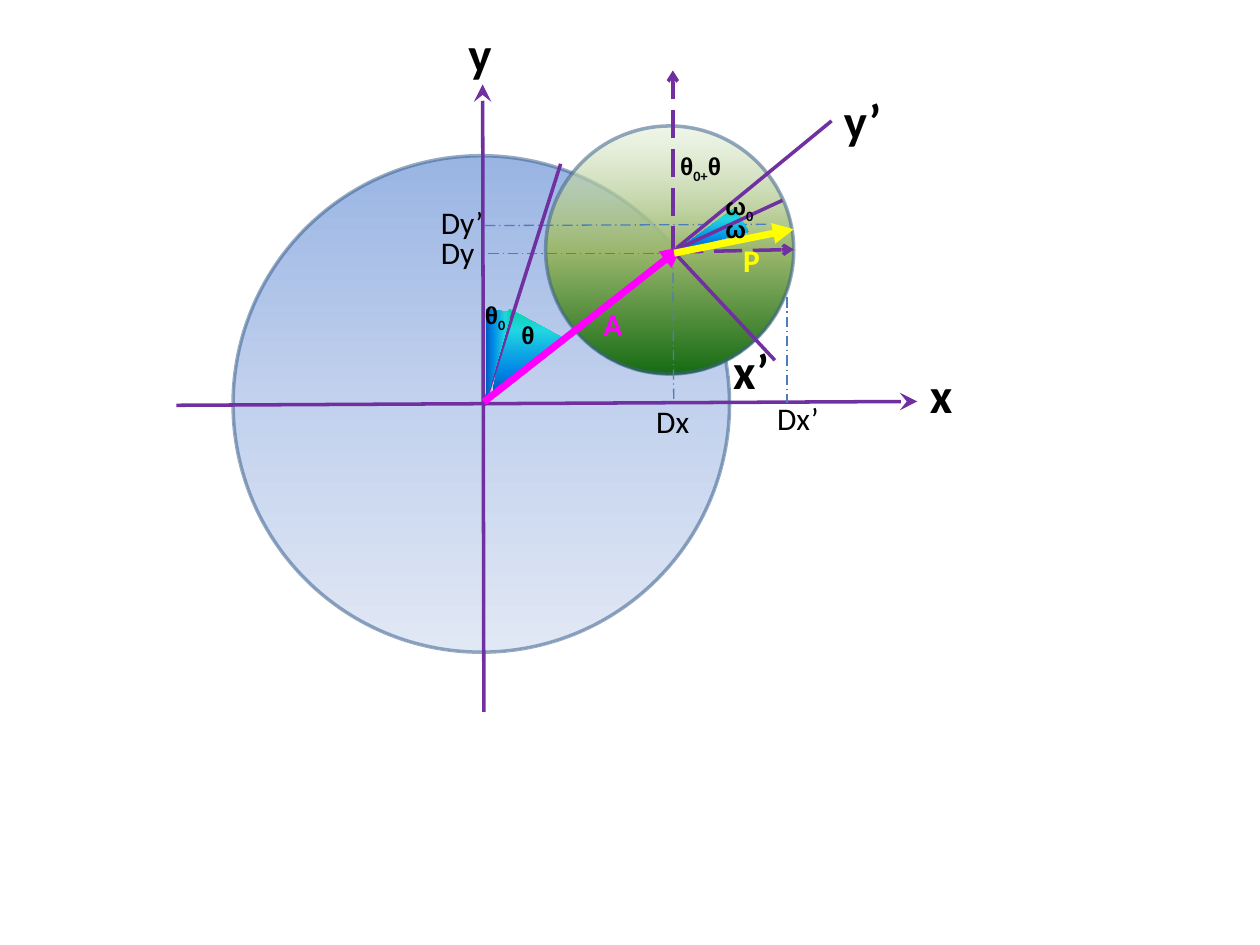
from lxml.etree import SubElement
from pptx import Presentation
from pptx.dml.color import RGBColor
from pptx.enum.dml import MSO_LINE
from pptx.enum.shapes import MSO_CONNECTOR, MSO_SHAPE
from pptx.enum.text import MSO_AUTO_SIZE
from pptx.oxml.ns import qn
from pptx.util import Pt

PURPLE, MAGENTA, YELLOW = "7030A0", "FF00FF", "FFFF00"
GUIDE, RIM = "4B7EBC", "3A5F8C"
BIG_STOPS = [(0, "9AB5E4", 100), (50, "C2D1ED", 100), (100, "E1E8F5", 100)]
SMALL_STOPS = [(0, "DDEBCF", 42), (50, "9CB86E", 100), (100, "156B13", 100)]
WEDGE_STOPS = [(0, "03D4A8", 100), (25, "21D6E0", 100),
               (75, "0087E6", 100), (100, "005CBF", 100)]


def color(value):
    return RGBColor.from_string(value)


def set_alpha(clr, percent):
    SubElement(clr, qn("a:alpha"), val=str(percent * 1000))


def set_gradient(sp, stops, angle=90):
    """Fill with any number of (position, colour, opacity) stops."""
    sp.fill.gradient()
    grad = sp._element.spPr.find(qn("a:gradFill"))
    stop_list = grad.find(qn("a:gsLst"))
    for old in list(stop_list):
        stop_list.remove(old)
    for pos, value, opacity in stops:
        stop = SubElement(stop_list, qn("a:gs"), pos=str(pos * 1000))
        clr = SubElement(stop, qn("a:srgbClr"), val=value)
        if opacity < 100:
            set_alpha(clr, opacity)
    lin = grad.find(qn("a:lin"))
    lin.set("ang", str(angle * 60000))
    lin.set("scaled", "0")


def add_circle(s, x, y, size, stops):
    sp = s.shapes.add_shape(MSO_SHAPE.OVAL, Pt(x), Pt(y), Pt(size), Pt(size))
    sp.shadow.inherit = False
    set_gradient(sp, stops)
    sp.line.width = Pt(2)
    sp.line.color.rgb = color(RIM)
    set_alpha(sp.line._ln.find(".//" + qn("a:srgbClr")), 52)


def add_wedge(s, points, angle=90):
    start, *rest = [(Pt(x), Pt(y)) for x, y in points]
    builder = s.shapes.build_freeform(*start, scale=1.0)
    builder.add_line_segments(rest, close=True)
    sp = builder.convert_to_shape()
    sp.shadow.inherit = False
    sp.line.fill.background()
    set_gradient(sp, WEDGE_STOPS, angle)


def add_line(s, start, end, value=PURPLE, width=2, dash=None, arrow=None,
             head="med"):
    line = s.shapes.add_connector(MSO_CONNECTOR.STRAIGHT,
                                  *(Pt(n) for n in (*start, *end)))
    line.line.color.rgb = color(value)
    line.line.width = Pt(width)
    if dash:
        line.line.dash_style = dash
    if arrow:
        SubElement(line.line._ln, qn("a:tailEnd"), type=arrow, w=head, len=head)
    SubElement(line._element.spPr, qn("a:effectLst"))


def add_guide(s, start, end):
    add_line(s, start, end, GUIDE, 0.75, MSO_LINE.LONG_DASH_DOT)


def add_label(s, text, x, y, w, h, size=18, value="000000", bold=True,
              wrap=False):
    """Place a label; parts between underscores are subscripts."""
    box = s.shapes.add_textbox(Pt(x), Pt(y), Pt(w), Pt(h))
    tf = box.text_frame
    tf.word_wrap = wrap
    tf.auto_size = MSO_AUTO_SIZE.SHAPE_TO_FIT_TEXT
    p = tf.paragraphs[0]
    for i, part in enumerate(text.split("_")):
        if not part:
            continue
        r = p.add_run()
        r.text = part
        r.font.size = Pt(size)
        r.font.bold = bold
        r.font.color.rgb = color(value)
        r.font.name = "Arial" if part in "θω" else "Calibri"
        if i % 2:
            r.font._element.set("baseline", "-25000")


def main():
    prs = Presentation()
    prs.slide_width, prs.slide_height = Pt(720), Pt(540)
    s = prs.slides.add_slide(prs.slide_layouts[6])
    center = (384.5, 143.5)

    # Large circle, its angle wedge and the fixed axes
    add_circle(s, 133.2, 89, 283.7, BIG_STOPS)
    add_wedge(s, [(290.9, 176.4), (281.5, 223.9), (320.6, 192.5)])
    add_line(s, (276.5, 406.8), (275.8, 48.2), arrow="stealth", head="lg")
    add_line(s, (100.8, 231.6), (524.2, 229.4), arrow="stealth", head="lg")

    # Small circle with its vertical reference
    add_circle(s, 311.8, 72, 141.8, SMALL_STOPS)
    add_line(s, (384.5, 145.4), (384.5, 40.3), dash=MSO_LINE.LONG_DASH,
             arrow="arrow")

    # Projections onto the axes
    add_guide(s, (384.5, 144.7), (385, 230.4))
    add_guide(s, (384.5, 144.7), (276.5, 144.7))
    add_guide(s, (449.8, 169.9), (449.8, 230.4))
    add_guide(s, (437.8, 128.2), (276.5, 128.9))

    # Initial angle, rotated axes and the small wedge
    add_line(s, (320.4, 93.6), (276.5, 231.8))
    add_wedge(s, [(277.9, 176.4), (292.3, 178.6), (277.9, 228.2)], angle=180)
    add_line(s, (475.2, 69.1), (386.6, 141.8))
    add_line(s, center, (442.8, 205.9))
    add_wedge(s, [(386.6, 143.3), (419.8, 118.8), (427.9, 132.5)])
    add_line(s, (385.9, 144), (453.6, 142.6), dash=MSO_LINE.LONG_DASH,
             arrow="arrow")

    # Vectors A and P
    add_line(s, (276.5, 229.7), (389.5, 141.1), MAGENTA, 4, arrow="triangle")
    add_line(s, center, (447.1, 114.5))
    add_line(s, (385.2, 144.7), (453.6, 131), YELLOW, 4, arrow="triangle")

    # Axis names
    for text, x, y, w in [("x", 524.2, 204.5, 27.4), ("y", 260.6, 10.1, 28.1),
                          ("x’", 411.8, 190.8, 35.3), ("y’", 475.2, 48.2, 36)]:
        add_label(s, text, x, y, w, 41, size=28)

    # Projection names
    for text, x, y, w in [("Dx", 367.9, 226.1, 33.8), ("Dy", 244.8, 129.6, 33.8),
                          ("Dx’", 437, 224.6, 38.9), ("Dy’", 244.8, 112.3, 38.9)]:
        add_label(s, text, x, y, w, 29, bold=False)

    # Angle names
    for text, x, y, w in [("θ", 290.9, 179.3, 21.6), ("θ_0", 270, 167.8, 26.6),
                          ("θ_0+_θ", 381.6, 82.8, 38.9),
                          ("ω", 407.5, 118.8, 24.5)]:
        add_label(s, text, x, y, w, 24.5, size=14)
    add_label(s, "ω_0", 407.5, 105.8, 50.4, 24.5, size=14, wrap=True)

    # Vector names
    add_label(s, "A", 337.7, 170.6, 25.2, 29, value=MAGENTA)
    add_label(s, "P", 417.6, 133.9, 24.5, 29, value=YELLOW)

    prs.save("out.pptx")


if __name__ == "__main__":
    main()
